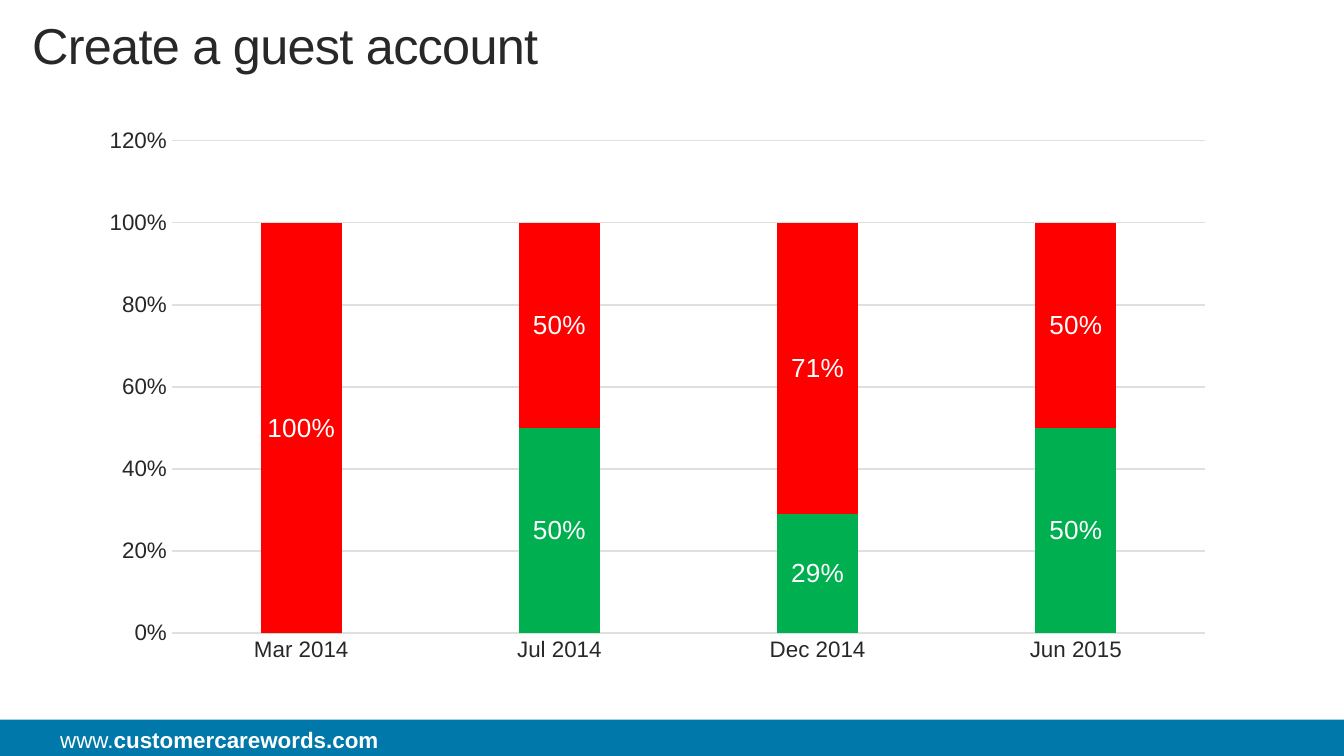
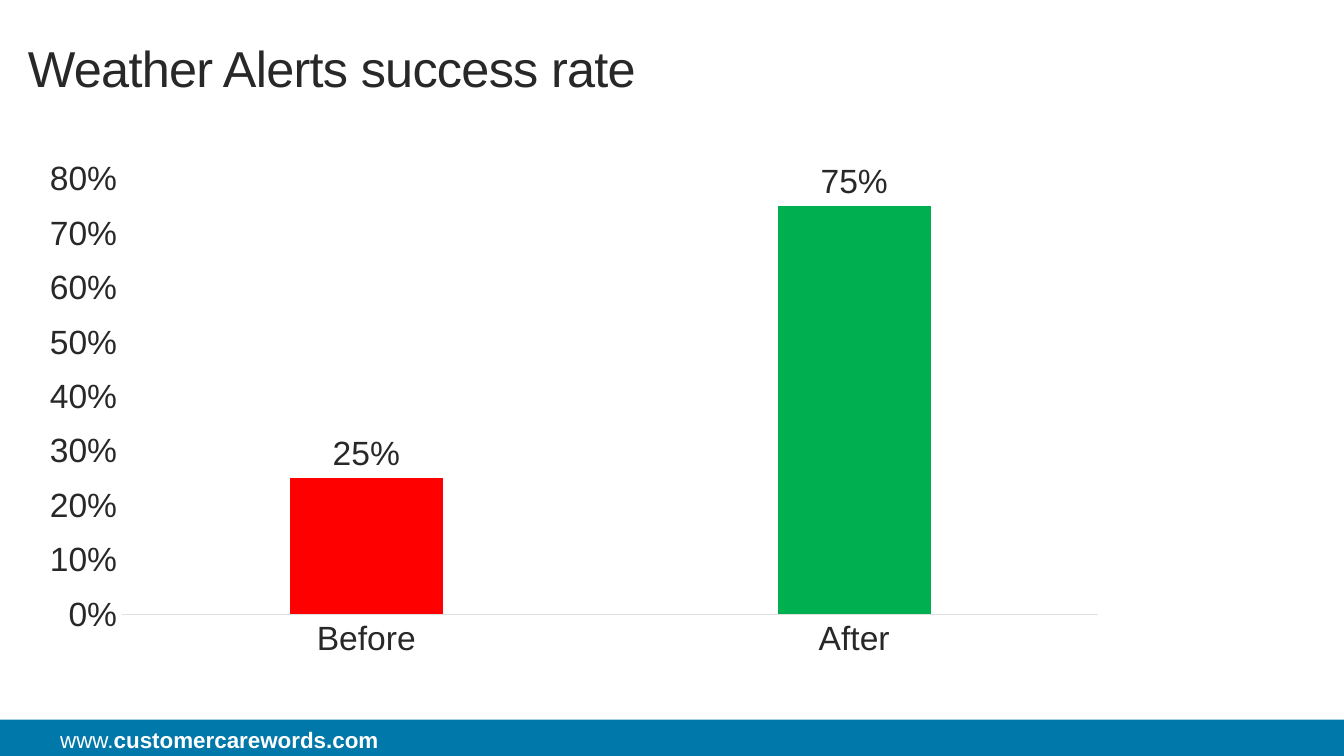
from lxml import etree
from pptx import Presentation
from pptx.chart.data import CategoryChartData
from pptx.dml.color import RGBColor
from pptx.enum.chart import XL_CHART_TYPE, XL_LABEL_POSITION, XL_TICK_MARK
from pptx.enum.shapes import MSO_SHAPE
from pptx.enum.text import MSO_ANCHOR, MSO_AUTO_SIZE, PP_ALIGN
from pptx.oxml.ns import qn
from pptx.util import Emu, Pt

STACKED = XL_CHART_TYPE.COLUMN_STACKED
CLUSTERED = XL_CHART_TYPE.COLUMN_CLUSTERED
CENTER = XL_LABEL_POSITION.CENTER
OUTSIDE_END = XL_LABEL_POSITION.OUTSIDE_END
NO_TICK = XL_TICK_MARK.NONE
RECTANGLE = MSO_SHAPE.RECTANGLE
TOP, BOTTOM = MSO_ANCHOR.TOP, MSO_ANCHOR.BOTTOM
NO_AUTOFIT = MSO_AUTO_SIZE.NONE
LEFT = PP_ALIGN.LEFT

EMU_PER_PX = 9525
WIDTH, HEIGHT = 960, 540
TITLE_ONLY = 5

FONT = "Arial"
INK, WHITE, BLUE = "282828", "FFFFFF", "0078A9"
GREEN, RED, RULE = "00B050", "FF0000", "DFDFDF"
PERCENT = "0%"


def px(*lengths):
    return [Emu(length * EMU_PER_PX) for length in lengths]


def rgb(color):
    return RGBColor.from_string(color)


def paint(fill, color):
    fill.solid()
    fill.fore_color.rgb = rgb(color)


def style_font(font, size, color=INK, bold=False):
    font.name, font.size, font.bold = FONT, Pt(size), bold
    font.color.rgb = rgb(color)


def set_margins(frame, horizontal=0, vertical=0):
    frame.margin_left, frame.margin_right = px(horizontal, horizontal)
    frame.margin_top, frame.margin_bottom = px(vertical, vertical)
    frame.word_wrap = True


def add_footer(slide):
    band = slide.shapes.add_shape(RECTANGLE, *px(0, 514, WIDTH, 26))
    band.shadow.inherit = False
    paint(band.fill, BLUE)
    band.line.fill.background()

    address = slide.shapes.add_textbox(*px(43, 519, 533, 19)).text_frame
    set_margins(address)
    for text, bold in (("www.", False), ("customercarewords.com", True)):
        run = address.paragraphs[0].add_run()
        run.text = text
        style_font(run.font, 12, WHITE, bold)


def set_title(slide, text, top, anchor, margins):
    title = slide.shapes.title
    title.left, title.top, title.width, title.height = px(20, top, 780, 70)
    frame = title.text_frame
    set_margins(frame, *margins)
    frame.auto_size = NO_AUTOFIT
    frame.vertical_anchor = anchor
    frame.text = text
    paragraph = frame.paragraphs[0]
    paragraph.alignment = LEFT
    paragraph.line_spacing = 0.9
    run = paragraph.runs[0]
    style_font(run.font, 27)
    run._r.get_or_add_rPr().set("spc", "-40")  # tighter letters


def add_slide(prs, title, top, anchor, margins=(0, 0)):
    slide = prs.slides.add_slide(prs.slide_layouts[TITLE_ONLY])
    add_footer(slide)
    set_title(slide, title, top, anchor, margins)
    return slide


def style_axis(axis, size, line):
    axis.major_tick_mark = axis.minor_tick_mark = NO_TICK
    style_font(axis.tick_labels.font, size)
    if line:
        style_rule(axis.format.line)
    else:
        axis.format.line.fill.background()


def style_rule(line):
    line.color.rgb = rgb(RULE)
    line.width = Pt(0.75)


def add_column_chart(slide, kind, box, categories, series, overlap,
                     axis_size, axis_max, step, gridlines):
    """Add a percentage column chart; series holds (name, values) pairs."""
    data = CategoryChartData(number_format=PERCENT)
    data.categories = categories
    for name, values in series:
        data.add_series(name, values)
    chart = slide.shapes.add_chart(kind, *px(*box), data).chart
    chart.has_title = chart.has_legend = False
    style_font(chart.font, 10)

    plot = chart.plots[0]
    plot.vary_by_categories = False
    plot.gap_width, plot.overlap = 219, overlap

    style_axis(chart.category_axis, axis_size, line=True)
    values_axis = chart.value_axis
    style_axis(values_axis, axis_size, line=False)
    values_axis.minimum_scale, values_axis.maximum_scale = 0, axis_max
    values_axis.major_unit = step
    values_axis.tick_labels.number_format = PERCENT
    values_axis.tick_labels.number_format_is_linked = False
    values_axis.has_major_gridlines = gridlines
    if gridlines:
        style_rule(values_axis.major_gridlines.format.line)
    return plot


def label_series(series, size, color, position):
    labels = series.data_labels
    labels.show_value = True
    labels.number_format = PERCENT
    labels.number_format_is_linked = False
    labels.position = position
    style_font(labels.font, size, color)
    return labels


def hide_label(labels, index):
    label = etree.Element(qn("c:dLbl"))
    etree.SubElement(label, qn("c:idx")).set("val", str(index))
    etree.SubElement(label, qn("c:delete")).set("val", "1")
    labels._element.insert(0, label)


def build_guest_account(prs):
    slide = add_slide(prs, "Create a guest account", 14, TOP, (3, 1))
    success = [0, 0.5, 0.29, 0.5]
    failure = [1, 0.5, 0.71, 0.5]
    plot = add_column_chart(
        slide, STACKED, (62, 84, 815, 397),
        ["Mar 2014", "Jul 2014", "Dec 2014", "Jun 2015"],
        [("Series 1", success), ("Series 2", failure)],
        overlap=100, axis_size=12, axis_max=1.2, step=0.2, gridlines=True)
    for series, color in zip(plot.series, (GREEN, RED)):
        paint(series.format.fill, color)
        labels = label_series(series, 14, WHITE, CENTER)
        for index, value in enumerate(series.values):
            if value == 0:
                hide_label(labels, index)


def build_weather_alerts(prs):
    slide = add_slide(prs, "Weather Alerts success rate", 0, BOTTOM)
    plot = add_column_chart(
        slide, CLUSTERED, (20, 107, 780, 370), ["Before", "After"],
        [("Series 1", [0.25, 0.75])],
        overlap=-27, axis_size=18, axis_max=0.8, step=0.1, gridlines=False)
    rate = plot.series[0]
    paint(rate.format.fill, BLUE)
    for index, color in enumerate((RED, GREEN)):
        paint(rate.points[index].format.fill, color)
    label_series(rate, 18, INK, OUTSIDE_END)


def main():
    prs = Presentation()
    prs.slide_width, prs.slide_height = px(WIDTH, HEIGHT)
    build_guest_account(prs)
    build_weather_alerts(prs)
    prs.save("out.pptx")


if __name__ == "__main__":
    main()
